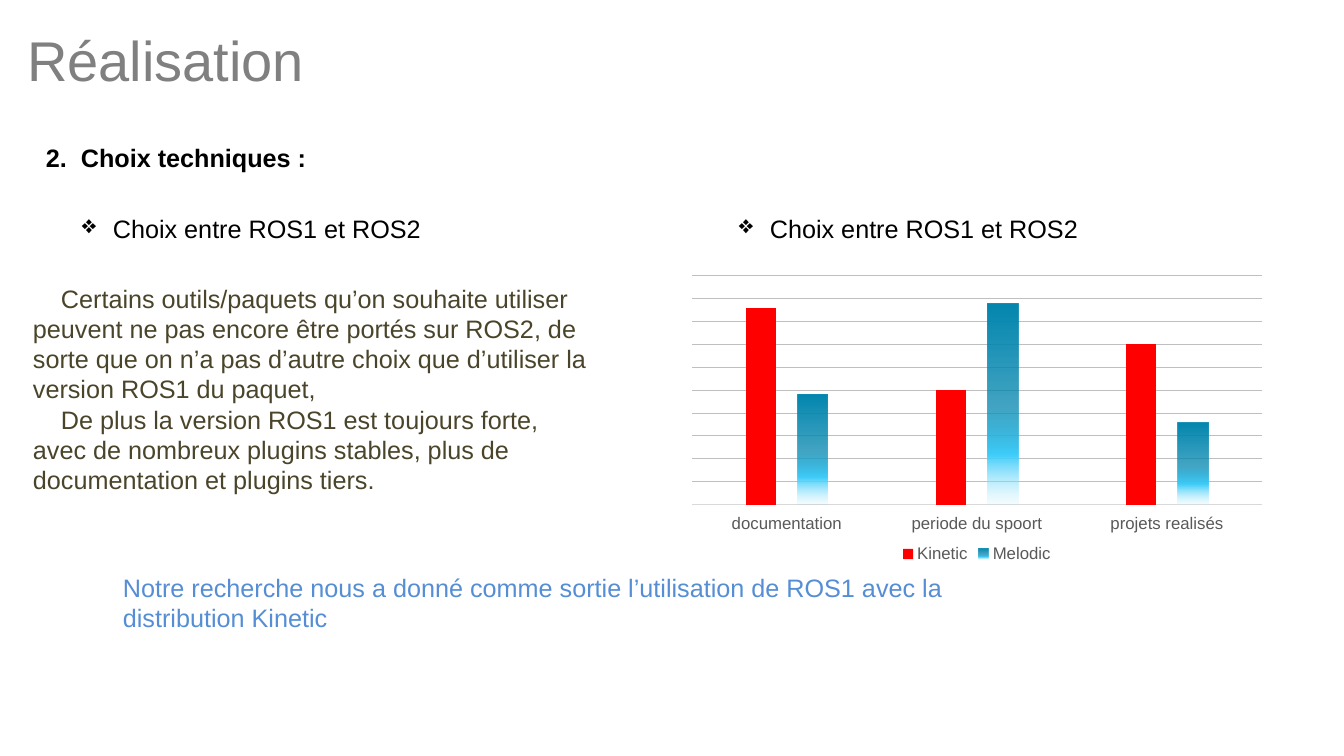
"""Build the slide comparing the two ROS distributions."""
from lxml.etree import SubElement
from pptx import Presentation
from pptx.chart.data import CategoryChartData
from pptx.dml.color import RGBColor
from pptx.enum.chart import XL_CHART_TYPE, XL_LEGEND_POSITION, XL_TICK_LABEL_POSITION, XL_TICK_MARK
from pptx.enum.text import MSO_ANCHOR, MSO_AUTO_SIZE, PP_ALIGN
from pptx.oxml import parse_xml
from pptx.oxml.ns import nsdecls, qn
from pptx.util import Pt

THEME = {
    "font": "Arial",
    "title": {"size": 40, "color": "808080"},
    "heading": {"size": 18, "color": "000000", "bold": True},
    "bullet": {"size": 18, "color": "000000"},
    "body": {"size": 18, "color": "4A452A"},
    "result": {"size": 18, "color": "558ED5"},
    "chart": {"size": 12, "color": "595959"},
    "axis": "D9D9D9",
    "grid": "BFBFBF",
    "kinetic": "FF0000",
    "melodic": [(0, "0587AF", 100), (51, "0587AF", 75), (75, "3FCDFA", 100), (100, "BFEEFD", 15)],
}
TITLE = ("Réalisation", (17, 20, 556, 78))
CHOICE = "Choix entre ROS1 et ROS2"
TEXTS = [
    {"style": "heading", "box": (36, 137, 374, 40), "lines": ["2.\tChoix techniques :"],
     "margin": 35, "indent": -35},
    {"style": "bullet", "box": (72, 208, 407, 40), "lines": [CHOICE],
     "margin": 31, "indent": -31, "mark": "❖"},
    {"style": "bullet", "box": (729, 208, 407, 40), "lines": [CHOICE],
     "margin": 31, "indent": -31, "mark": "❖"},
    {"style": "body", "box": (23, 278, 582, 254), "indent": 28, "lines": [
        "Certains outils/paquets qu’on souhaite utiliser peuvent ne pas encore être portés sur ROS2, "
        "de sorte que on n’a pas d’autre choix que d’utiliser la version ROS1 du paquet,",
        "De plus la version ROS1 est toujours forte, avec de nombreux plugins stables, "
        "plus de documentation et plugins tiers."]},
    {"style": "result", "box": (113, 567, 851, 72), "lines": [
        "Notre recherche nous a donné comme sortie l’utilisation de ROS1 avec la distribution Kinetic"]},
]
CATEGORIES = ["documentation", "periode du spoort", "projets realisés"]
SERIES = {"Kinetic": (98, 57, 80), "Melodic": (55, 100, 41)}
CHART_BOX = (680, 270, 594, 297)
PLOT_BOX = (692, 276, 570, 230)
AXIS_MAX, GRID_ROWS = 114, 10


def px(n):
    return round(n * 12192000 / 1344)


def set_font(font, style):
    values = {"name": THEME["font"], "size": Pt(style["size"]), "bold": style.get("bold", False)}
    for name, value in values.items():
        setattr(font, name, value)
    font.color.rgb = RGBColor.from_string(style["color"])


def set_frame(tf):
    values = {"word_wrap": True, "auto_size": MSO_AUTO_SIZE.NONE, "vertical_anchor": MSO_ANCHOR.TOP}
    for name, value in values.items():
        setattr(tf, name, value)


def add_line(p, text, style, margin=0, indent=0, mark=None):
    p.alignment = PP_ALIGN.LEFT
    pPr = p._p.get_or_add_pPr()
    pPr.set("marL", str(px(margin)))
    pPr.set("indent", str(px(indent)))
    if mark:
        SubElement(pPr, qn("a:buChar"), char=mark)
    if "\t" in text:
        tabs = SubElement(pPr, qn("a:tabLst"))
        SubElement(tabs, qn("a:tab"), pos=str(px(margin)), algn="l")
    r = p.add_run()
    r.text = text
    set_font(r.font, style)


def add_title(s):
    text, box = TITLE
    sp = s.shapes.title
    sp.left, sp.top, sp.width, sp.height = map(px, box)
    set_frame(sp.text_frame)
    add_line(sp.text_frame.paragraphs[0], text, THEME["title"])


def add_text(s, item):
    tf = s.shapes.add_textbox(*map(px, item["box"])).text_frame
    set_frame(tf)
    layout = {key: item[key] for key in ("margin", "indent", "mark") if key in item}
    for i, line in enumerate(item["lines"]):
        p = tf.add_paragraph() if i else tf.paragraphs[0]
        add_line(p, line, THEME[item["style"]], **layout)


def gradient(stops):
    parts = "".join(
        f'<a:gs pos="{pos * 1000}"><a:srgbClr val="{color}"><a:alpha val="{alpha * 1000}"/></a:srgbClr></a:gs>'
        for pos, color, alpha in stops)
    return parse_xml(f'<a:gradFill {nsdecls("a")}><a:gsLst>{parts}</a:gsLst>'
                     '<a:lin ang="5400000" scaled="0"/></a:gradFill>')


def set_line(line, color):
    line.width = Pt(0.75)
    line.color.rgb = RGBColor.from_string(color)


def place_plot(chart):
    left, top, width, height = CHART_BOX
    x, y, w, h = PLOT_BOX
    sizes = {"x": (x - left) / width, "y": (y - top) / height, "w": w / width, "h": h / height}
    modes = '<c:layoutTarget val="inner"/><c:xMode val="edge"/><c:yMode val="edge"/>'
    values = "".join(f'<c:{key} val="{value:.2f}"/>' for key, value in sizes.items())
    area = chart._chartSpace.chart.plotArea
    for old in area.findall(qn("c:layout")):
        area.remove(old)
    area.insert(0, parse_xml(f'<c:layout {nsdecls("c")}><c:manualLayout>{modes}{values}'
                             '</c:manualLayout></c:layout>'))


def add_chart(s):
    data = CategoryChartData()
    data.categories = CATEGORIES
    for name, values in SERIES.items():
        data.add_series(name, values)
    chart = s.shapes.add_chart(XL_CHART_TYPE.COLUMN_CLUSTERED, *map(px, CHART_BOX), data).chart
    set_font(chart.font, THEME["chart"])
    chart.has_title = False
    chart.has_legend = True
    legend = chart.legend
    legend.position = XL_LEGEND_POSITION.BOTTOM
    legend.include_in_layout = False
    set_font(legend.font, THEME["chart"])

    plot = chart.plots[0]
    for name, value in {"gap_width": 355, "overlap": -70, "vary_by_categories": False}.items():
        setattr(plot, name, value)
    kinetic, melodic = plot.series
    kinetic.format.fill.solid()
    kinetic.format.fill.fore_color.rgb = RGBColor.from_string(THEME["kinetic"])
    melodic.format.fill.background()
    spPr = melodic._element.spPr
    spPr.replace(spPr.find(qn("a:noFill")), gradient(THEME["melodic"]))

    axis = chart.category_axis
    axis.major_tick_mark = XL_TICK_MARK.NONE
    axis.tick_label_position = XL_TICK_LABEL_POSITION.LOW
    set_font(axis.tick_labels.font, THEME["chart"])
    set_line(axis.format.line, THEME["axis"])
    scale = {"minimum_scale": 0, "maximum_scale": AXIS_MAX, "major_unit": AXIS_MAX / GRID_ROWS,
             "has_major_gridlines": True, "visible": False}
    for name, value in scale.items():
        setattr(chart.value_axis, name, value)
    set_line(chart.value_axis.major_gridlines.format.line, THEME["grid"])
    place_plot(chart)


def main():
    prs = Presentation()
    prs.slide_width, prs.slide_height = px(1344), px(756)
    s = prs.slides.add_slide(prs.slide_layouts[5])
    add_title(s)
    for item in TEXTS:
        add_text(s, item)
    add_chart(s)
    prs.save("out.pptx")


if __name__ == "__main__":
    main()
